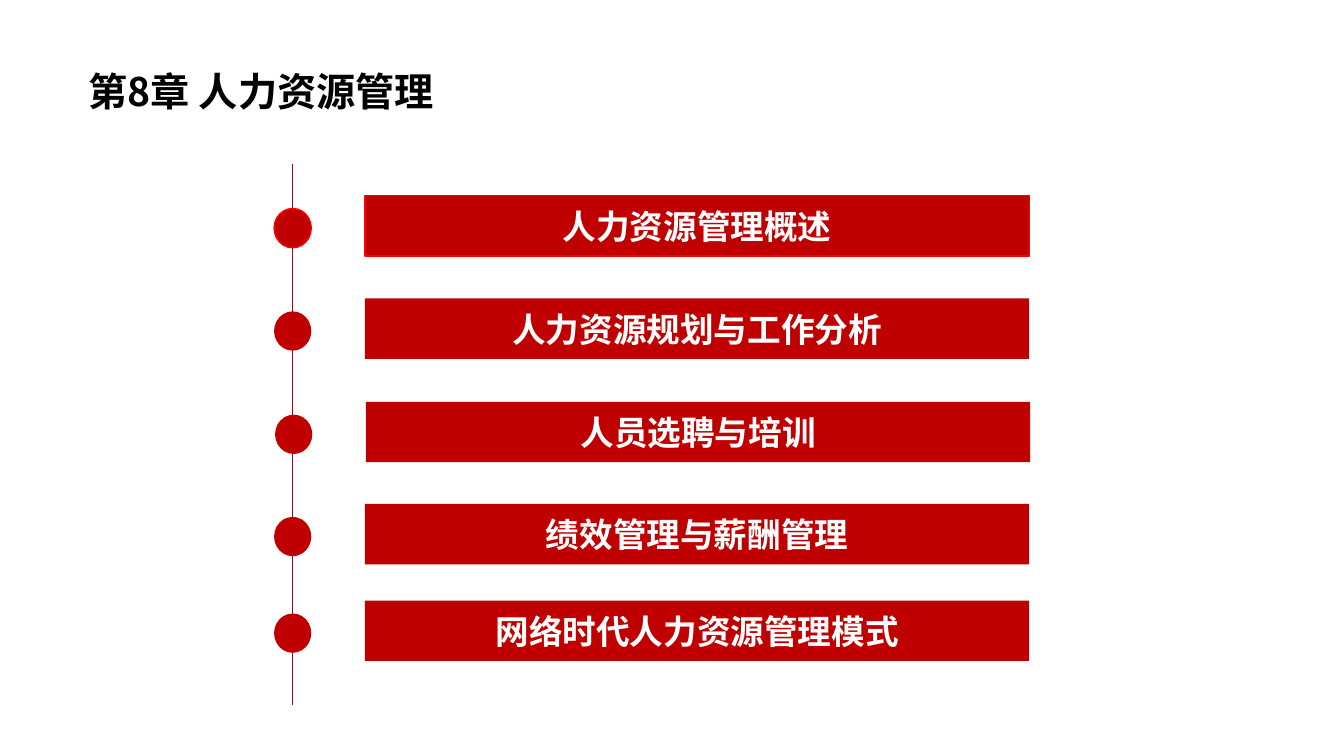
from lxml.etree import SubElement
from pptx import Presentation
from pptx.dml.color import RGBColor
from pptx.enum.shapes import MSO_CONNECTOR, MSO_SHAPE
from pptx.enum.text import MSO_ANCHOR, PP_ALIGN
from pptx.oxml.ns import qn
from pptx.util import Pt

RED = RGBColor(0xC0, 0x00, 0x00)
BRIGHT_RED = RGBColor(0xFF, 0x00, 0x00)
DARK_RED = RGBColor(0xA5, 0x00, 0x21)
WHITE = RGBColor(0xFF, 0xFF, 0xFF)
BLACK = RGBColor(0x00, 0x00, 0x00)
FONT = "Noto Sans CJK SC"

BAR_LEFT = 260.7
DOT_LEFT = 195.8
DOT_DROP = 9.2
SECTIONS = [
    ("人力资源管理概述", 139.7, 0, BRIGHT_RED),
    ("人力资源规划与工作分析", 213.2, 0, None),
    ("人员选聘与培训", 287, 0.7, None),
    ("绩效管理与薪酬管理", 360, 0, None),
    ("网络时代人力资源管理模式", 429, 0, None),
]


def add_box(shapes, kind, left, top, width, height, fill=None, outline=None):
    shape = shapes.add_shape(kind, Pt(left), Pt(top), Pt(width), Pt(height))
    shape.shadow.inherit = False
    if fill is None:
        shape.fill.background()
    else:
        shape.fill.solid()
        shape.fill.fore_color.rgb = fill
    if outline is None:
        shape.line.fill.background()
    else:
        shape.line.color.rgb = outline
        shape.line.width = Pt(1)
    return shape


def write_text(shape, text, size, color, alignment):
    text_frame = shape.text_frame
    text_frame.word_wrap = True
    text_frame.vertical_anchor = MSO_ANCHOR.MIDDLE
    text_frame.text = text
    paragraph = text_frame.paragraphs[0]
    paragraph.alignment = alignment
    run = paragraph.runs[0]
    run.font.size = Pt(size)
    run.font.bold = True
    run.font.color.rgb = color
    run.font.name = FONT
    SubElement(run.font._element, qn("a:ea"), typeface=FONT)


def add_title(slide, text):
    title = add_box(slide.shapes, MSO_SHAPE.ROUNDED_RECTANGLE, 53.3, 34.6, 568.8, 61.2)
    write_text(title, text, 28, BLACK, PP_ALIGN.JUSTIFY)


def add_timeline(slide):
    timeline = slide.shapes.add_connector(
        MSO_CONNECTOR.STRAIGHT, Pt(208.9), Pt(117.4), Pt(208.9), Pt(503.3)
    )
    timeline.line.color.rgb = DARK_RED
    timeline.line.width = Pt(0.5)
    SubElement(timeline._element.spPr, qn("a:effectLst"))


def add_section(slide, text, top, shift, outline):
    shapes = slide.shapes.add_group_shape().shapes
    add_box(shapes, MSO_SHAPE.OVAL, DOT_LEFT + shift, top + DOT_DROP, 26.6, 28.1, RED, outline)
    bar = add_box(shapes, MSO_SHAPE.RECTANGLE, BAR_LEFT + shift, top, 474.5, 43.2, RED, outline)
    write_text(bar, text, 24, WHITE, PP_ALIGN.CENTER)


def main():
    presentation = Presentation()
    presentation.slide_width = Pt(960)
    presentation.slide_height = Pt(540)
    slide = presentation.slides.add_slide(presentation.slide_layouts[6])
    add_timeline(slide)
    add_title(slide, "第8章 人力资源管理")
    for text, top, shift, outline in SECTIONS:
        add_section(slide, text, top, shift, outline)
    presentation.save("out.pptx")


if __name__ == "__main__":
    main()
